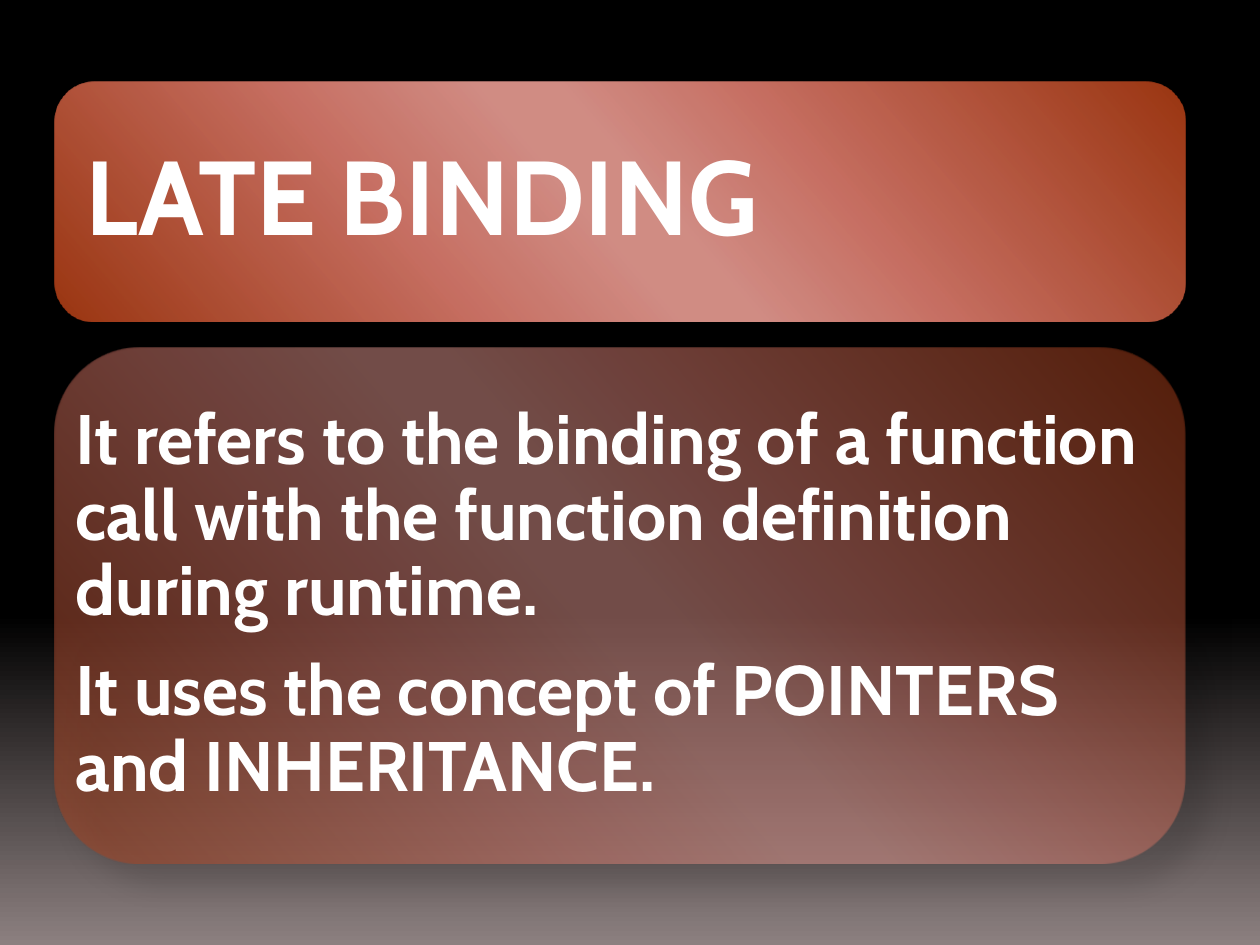
from lxml import etree
from pptx import Presentation
from pptx import util as u
from pptx.dml.color import RGBColor
from pptx.enum import shapes, text
from pptx.oxml.ns import qn

FONT = "Cabin"
WHITE = RGBColor(0xFF, 0xFF, 0xFF)
BLACK = RGBColor(0x00, 0x00, 0x00)
GREY = RGBColor(0x8C, 0x80, 0x80)
RUST = RGBColor(0xA9, 0x3A, 0x12)
CORAL = RGBColor(0xDA, 0x7A, 0x6C)
PINK = RGBColor(0xE5, 0x9A, 0x91)

BACKDROP = [(0, BLACK), (65, BLACK), (100, GREY)]
SHEEN = [(0, RUST), (33, CORAL), (47, PINK), (53, PINK), (68, CORAL), (100, RUST)]

LEFT, TOP, WIDTH, GAP = 0.43, 0.65, 8.98, 0.21
PANELS = [
    dict(lines=["LATE BINDING"], height=1.9, opacity=90, size=60, inset=0.25),
    dict(
        lines=[
            "It refers to the binding of a function call with the function "
            "definition during runtime.",
            "It uses the concept of POINTERS and INHERITANCE.",
        ],
        height=4.09, opacity=50, size=40, inset=0.17,
    ),
]


def add_color(parent, color, opacity):
    node = etree.SubElement(parent, qn("a:srgbClr"), val=str(color))
    if opacity < 100:
        etree.SubElement(node, qn("a:alpha"), val=str(opacity * 1000))


def set_gradient(fill, element, stops, angle, opacity=100):
    """Fill with any number of stops; the angle runs clockwise."""
    fill.gradient()
    gradient = element.find(".//" + qn("a:gradFill"))
    stop_list = gradient.find(qn("a:gsLst"))
    for stop in list(stop_list):
        stop_list.remove(stop)
    for position, color in stops:
        stop = etree.SubElement(stop_list, qn("a:gs"), pos=str(position * 1000))
        add_color(stop, color, opacity)
    gradient.find(qn("a:lin")).set("ang", str(angle * 60000))


def set_shadow(shape):
    shape.shadow.inherit = False
    effects = shape._element.spPr.find(qn("a:effectLst"))
    shadow = etree.SubElement(
        effects, qn("a:outerShdw"), blurRad=str(u.Pt(15)), dist=str(u.Pt(18)),
        dir=str(45 * 60000), algn="tl", rotWithShape="0")
    add_color(shadow, BLACK, 26)


def add_text(page, area, lines, size, inset):
    box = page.shapes.add_textbox(*area)
    frame = box.text_frame
    frame.word_wrap = True
    frame.vertical_anchor = text.MSO_ANCHOR.MIDDLE
    frame.margin_left = frame.margin_right = u.Inches(inset)
    frame.margin_top = frame.margin_bottom = u.Inches(inset)
    for index, line in enumerate(lines):
        para = frame.add_paragraph() if index else frame.paragraphs[0]
        para.line_spacing = 0.9
        para.space_after = u.Pt(size * 0.35)
        span = para.add_run()
        span.text = line
        span.font.name = FONT
        span.font.size = u.Pt(size)
        span.font.bold = True
        span.font.color.rgb = WHITE


def add_panel(page, top, lines, height, opacity, size, inset):
    area = [u.Inches(value) for value in (LEFT, top, WIDTH, height)]
    panel = page.shapes.add_shape(shapes.MSO_SHAPE.ROUNDED_RECTANGLE, *area)
    set_gradient(panel.fill, panel._element, SHEEN, 139, opacity)
    panel.line.fill.background()
    set_shadow(panel)
    add_text(page, area, lines, size, inset)


def main():
    deck = Presentation()
    deck.slide_width, deck.slide_height = u.Inches(10), u.Inches(7.5)
    page = deck.slides.add_slide(deck.slide_layouts[6])
    set_gradient(page.background.fill, page._element, BACKDROP, 90)
    top = TOP
    for panel in PANELS:
        add_panel(page, top, **panel)
        top += panel["height"] + GAP
    deck.save("out.pptx")


if __name__ == "__main__":
    main()
